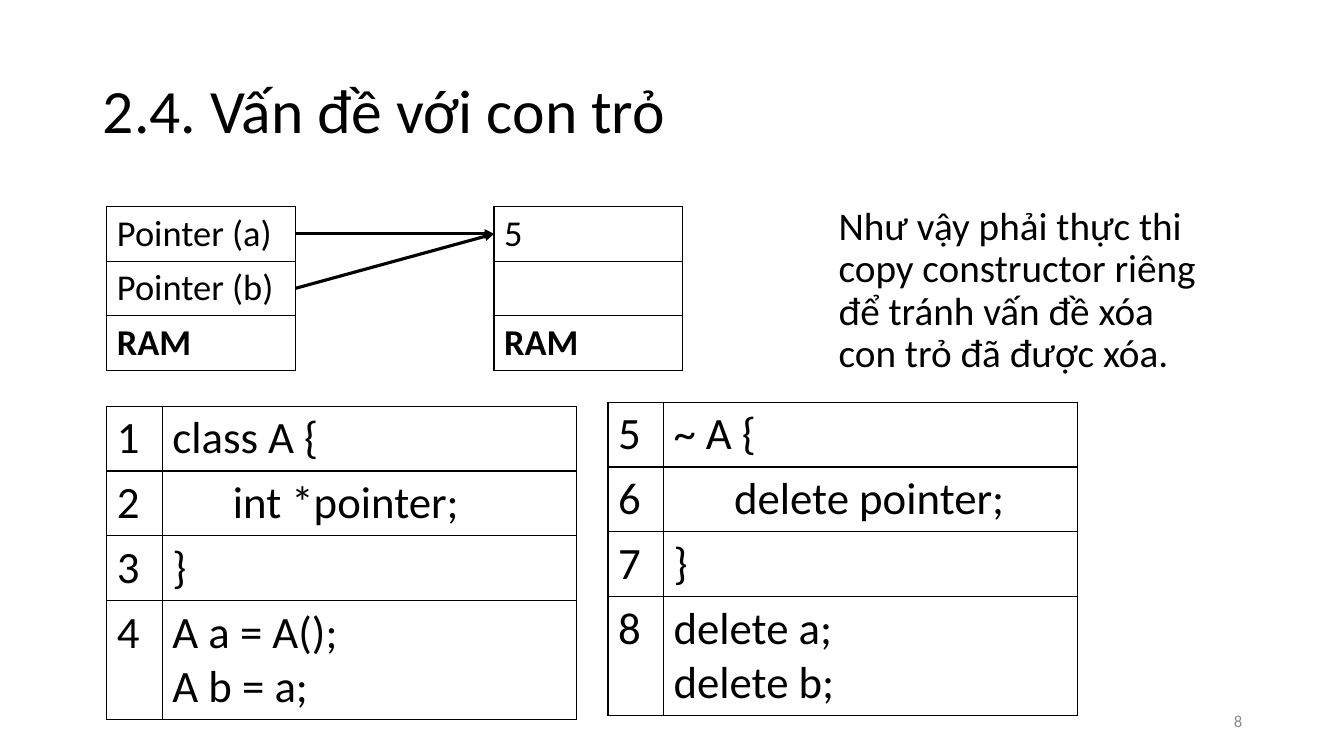
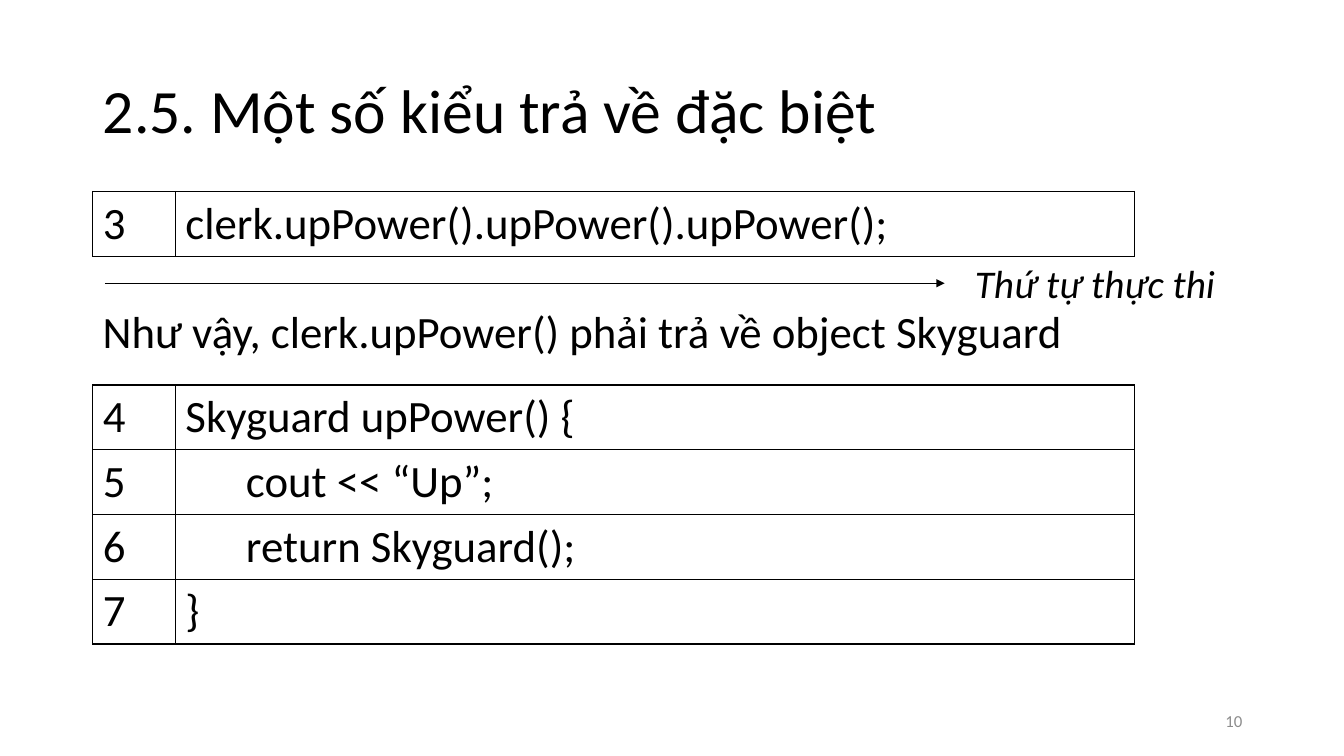
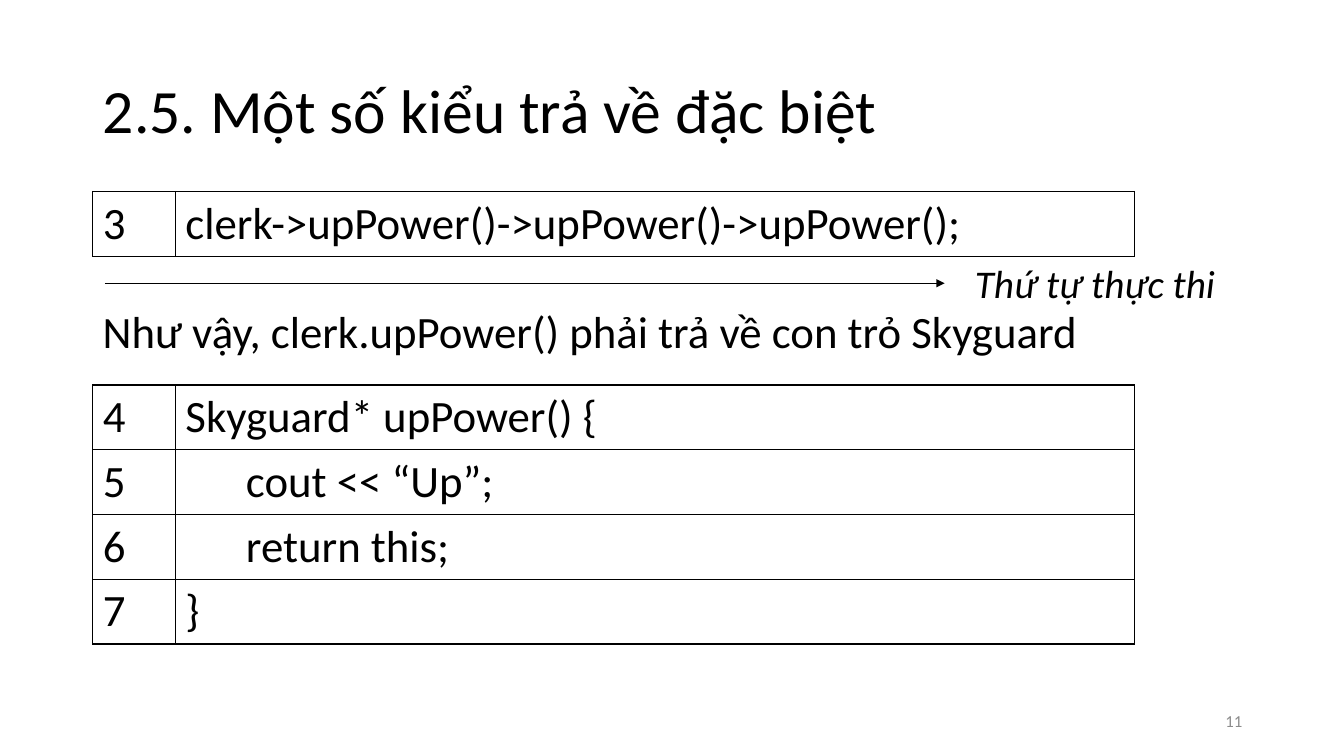
from lxml import etree
from pptx import Presentation
from pptx.dml.color import RGBColor
from pptx.enum import shapes, text
from pptx.oxml import ns
from pptx.util import Inches, Pt

FONT = "Calibri"
BLACK, WHITE, GREY = "000000", "FFFFFF", "8C8C8C"
CODE_SIZE, MEMORY_SIZE = 32, 26
CODE_INDENT = 0.6
HERO_CLASS = "Skyguard"


def rgb(value):
    return RGBColor.from_string(value)


def style(paragraph, size, color=BLACK, bold=False, italic=False):
    font = paragraph.font
    font.name, font.size = FONT, Pt(size)
    font.bold, font.italic = bold, italic
    font.color.rgb = rgb(color)


def add_child(parent, tag, **attributes):
    return etree.SubElement(parent, ns.qn(tag), attributes)


def place(shape, left, top, width, height):
    shape.left, shape.top = Inches(left), Inches(top)
    shape.width, shape.height = Inches(width), Inches(height)


def add_text(slide, at, words, size, color=BLACK, italic=False, spacing=None, before=0):
    frame = slide.shapes.add_textbox(*map(Inches, at)).text_frame
    frame.word_wrap = True
    paragraph = frame.paragraphs[0]
    paragraph.text = words
    paragraph.line_spacing = spacing
    paragraph.space_before = Pt(before)
    style(paragraph, size, color, italic=italic)
    return frame


def add_titled_slide(deck, heading, number):
    slide = deck.slides.add_slide(deck.slide_layouts[5])
    title = slide.shapes.title
    place(title, 0.92, 0.4, 11.5, 1.45)
    title.text_frame.vertical_anchor = text.MSO_ANCHOR.MIDDLE
    paragraph = title.text_frame.paragraphs[0]
    paragraph.text = heading
    paragraph.alignment = text.PP_ALIGN.LEFT
    paragraph.line_spacing = 0.9
    style(paragraph, 44)

    footer = add_text(slide, (9.42, 6.95, 3, 0.4), str(number), 12, GREY)
    footer.vertical_anchor = text.MSO_ANCHOR.MIDDLE
    footer.paragraphs[0].alignment = text.PP_ALIGN.RIGHT
    return slide


def add_arrow(slide, start, end, weight):
    arrow = slide.shapes.add_connector(
        shapes.MSO_CONNECTOR.STRAIGHT, *map(Inches, (*start, *end)))
    arrow.line.color.rgb = rgb(BLACK)
    arrow.line.width = Pt(weight)
    add_child(arrow.line._get_or_add_ln(), "a:tailEnd", type="triangle")
    add_child(arrow._element.spPr, "a:effectLst")


def draw_borders(cell):
    properties = cell._tc.get_or_add_tcPr()
    for side in ("a:lnL", "a:lnR", "a:lnT", "a:lnB"):
        border = add_child(properties, side, w=str(Pt(1)))
        add_child(add_child(border, "a:solidFill"), "a:srgbClr", val=BLACK)


def row_height(size, lines=1):
    """Height in inches of a row that just holds its lines of text."""
    return 0.1 + lines * size * 1.22 / 72


def fill_cell(cell, words, size, bold, fill):
    """Write one paragraph per line; a leading tab stands for one indent."""
    cell.text = words.replace("\t", "")
    for paragraph, line in zip(cell.text_frame.paragraphs, words.split("\n")):
        style(paragraph, size, bold=bold)
        if line.startswith("\t"):
            paragraph._p.get_or_add_pPr().set("marL", str(Inches(CODE_INDENT)))
    draw_borders(cell)
    if fill:
        cell.fill.solid()
        cell.fill.fore_color.rgb = rgb(fill)
    else:
        cell.fill.background()


def add_grid(slide, left, top, widths, rows, size, bold_last=False, fill=None):
    heights = [row_height(size, max(words.count("\n") + 1 for words in row)) for row in rows]
    grid = slide.shapes.add_table(
        len(rows), len(widths), Inches(left), Inches(top),
        Inches(sum(widths)), Inches(sum(heights))).table
    grid.first_row = grid.horz_banding = False
    for column, width in zip(grid.columns, widths):
        column.width = Inches(width)
    for r, row in enumerate(rows):
        grid.rows[r].height = Inches(heights[r])
        for c, words in enumerate(row):
            bold = bold_last and r == len(rows) - 1
            fill_cell(grid.cell(r, c), words, size, bold, fill)


def add_code(slide, left, top, widths, first_number, lines):
    rows = [(str(number), line) for number, line in enumerate(lines, first_number)]
    add_grid(slide, left, top, widths, rows, CODE_SIZE)


def add_memory(slide, left, top, width, entries):
    rows = [(entry,) for entry in (*entries, "RAM")]
    add_grid(slide, left, top, [width], rows, MEMORY_SIZE, bold_last=True, fill=WHITE)


def pointer_slide(deck):
    slide = add_titled_slide(deck, "2.4. Vấn đề với con trỏ", 8)
    pointers_left, value_left, top, width = 1.06, 4.9, 2.05, 1.87
    add_memory(slide, pointers_left, top, width, ["Pointer (a)", "Pointer (b)"])
    add_memory(slide, value_left, top, width, ["5", ""])
    step = row_height(MEMORY_SIZE)
    target = (value_left, top + step / 2)
    for row in range(2):
        add_arrow(slide, (pointers_left + width, top + (row + 0.5) * step), target, 2.25)

    add_text(slide, (8.22, 2, 3.83, 2.1),
             "Như vậy phải thực thi copy constructor riêng để tránh vấn đề xóa "
             "con trỏ đã được xóa.", 28, spacing=0.9, before=10)
    widths = (0.55, 4.11)
    add_code(slide, 1.06, 4.03, widths, 1,
             ["class A {", "\tint *pointer;", "}", "A a = A();\nA b = a;"])
    add_code(slide, 6.03, 3.99, widths, 5,
             ["~ A {", "\tdelete pointer;", "}", "delete a;\ndelete b;"])


def return_type_slide(deck, number, call, returned, signature, result):
    slide = add_titled_slide(deck, "2.5. Một số kiểu trả về đặc biệt", number)
    left, widths = 0.92, (0.82, 9.51)
    add_code(slide, left, 1.9, widths, 3, [call])
    add_arrow(slide, (1.04, 2.81), (9.37, 2.81), 0.5)
    add_text(slide, (9.57, 2.58, 2.85, 0.72), "Thứ tự thực thi", 28,
             italic=True, spacing=0.9, before=10)
    add_text(slide, (left, 2.96, 10.61, 0.64),
             f"Như vậy, clerk.upPower() phải trả về {returned} {HERO_CLASS}", 32)
    add_code(slide, left, 3.82, widths, 4,
             [f"{signature} upPower() {{", "\tcout << “Up”;", f"\treturn {result};", "}"])


def main():
    deck = Presentation()
    deck.slide_width, deck.slide_height = Inches(13.33), Inches(7.5)
    pointer_slide(deck)
    return_type_slide(deck, 10, "clerk.upPower().upPower().upPower();",
                      "object", HERO_CLASS, f"{HERO_CLASS}()")
    return_type_slide(deck, 11, "clerk->upPower()->upPower()->upPower();",
                      "con trỏ", f"{HERO_CLASS}*", "this")
    deck.save("out.pptx")


if __name__ == "__main__":
    main()
